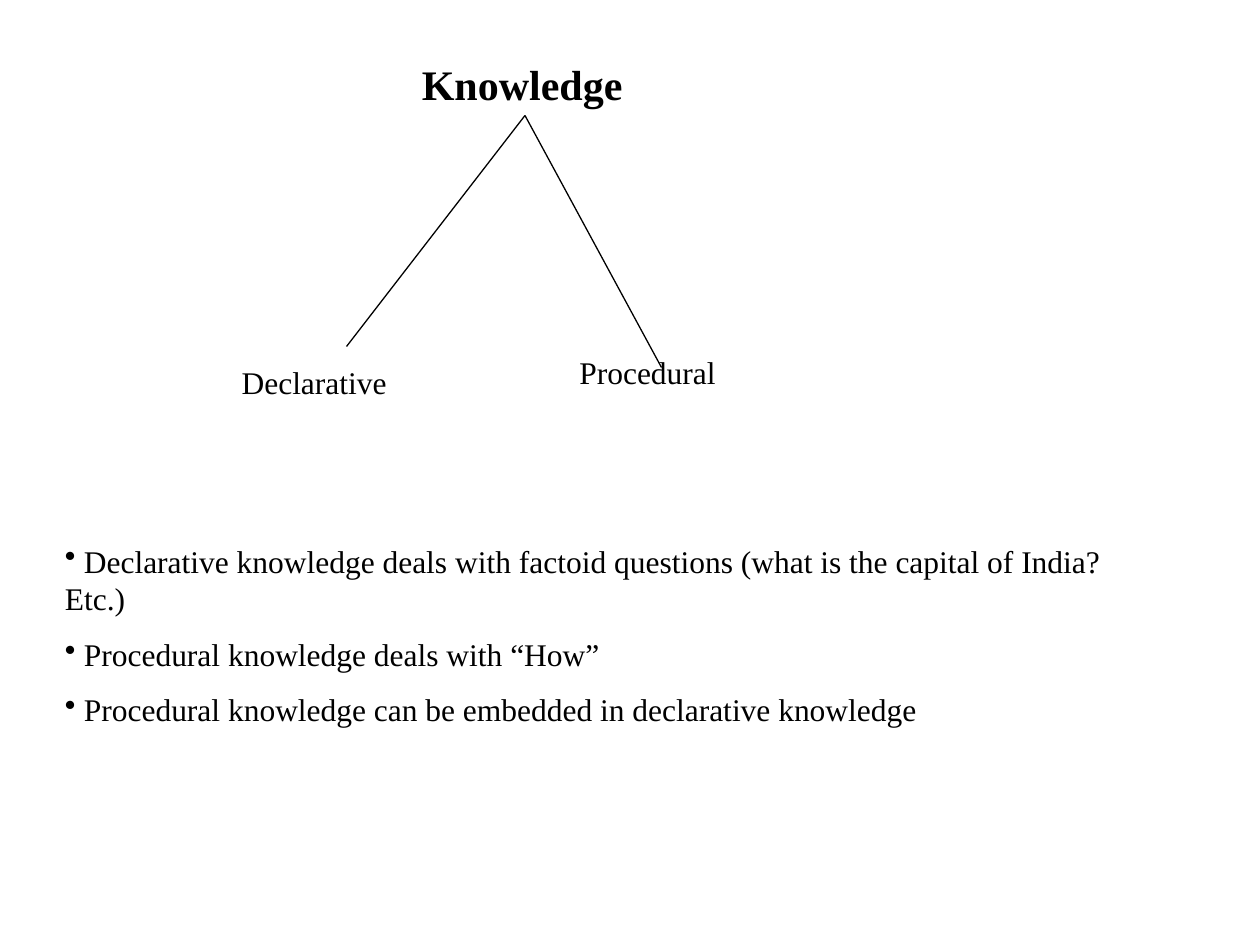
from dataclasses import dataclass

from lxml import etree
from pptx import Presentation
from pptx.dml.color import RGBColor
from pptx.enum.shapes import MSO_CONNECTOR
from pptx.oxml.ns import qn
from pptx.slide import Slide
from pptx.util import Pt

STRAIGHT = MSO_CONNECTOR.STRAIGHT


@dataclass(frozen=True)
class Theme:
    font: str = "Times New Roman"
    ink: RGBColor = RGBColor(0, 0, 0)
    title_size: float = 24
    body_size: float = 18
    line_width: float = 0.75
    paragraph_gap: float = 10


@dataclass(frozen=True)
class TextBlock:
    lines: tuple[str, ...]
    left: float
    top: float
    width: float
    height: float
    size: float
    bold: bool = False
    bulleted: bool = False


@dataclass(frozen=True)
class Point:
    x: float
    y: float


THEME = Theme()
ROOT = Point(300, 66)
BRANCH_ENDS = (Point(198, 198), Point(378, 210))
BLOCKS = (
    TextBlock(("Knowledge",), 234, 30, 180, 36, THEME.title_size, bold=True),
    TextBlock(("Declarative",), 131, 204, 168, 41, THEME.body_size),
    TextBlock(("Procedural",), 324, 198, 210, 41, THEME.body_size),
    TextBlock(
        (
            " Declarative knowledge deals with factoid questions (what is the capital of India? Etc.)",
            " Procedural knowledge deals with “How”",
            " Procedural knowledge can be embedded in declarative knowledge",
        ),
        30, 306, 630, 117, THEME.body_size, bulleted=True,
    ),
)


def add_text(page: Slide, block: TextBlock) -> None:
    box = page.shapes.add_textbox(
        Pt(block.left), Pt(block.top), Pt(block.width), Pt(block.height)
    )
    frame = box.text_frame
    frame.word_wrap = True
    frame.text = "\n".join(block.lines)
    for index, para in enumerate(frame.paragraphs):
        if index:
            para.space_before = Pt(THEME.paragraph_gap)
        if block.bulleted:
            properties = para._p.get_or_add_pPr()
            properties.set("marL", "0")
            properties.set("indent", "0")
            etree.SubElement(properties, qn("a:buChar")).set("char", "•")
        for span in para.runs:
            span.font.name = THEME.font
            span.font.size = Pt(block.size)
            span.font.bold = block.bold
            span.font.color.rgb = THEME.ink


def add_branch(page: Slide, start: Point, end: Point) -> None:
    branch = page.shapes.add_connector(
        STRAIGHT, Pt(start.x), Pt(start.y), Pt(end.x), Pt(end.y)
    )
    branch.line.color.rgb = THEME.ink
    branch.line.width = Pt(THEME.line_width)
    etree.SubElement(branch._element.spPr, qn("a:effectLst"))


def main() -> None:
    deck = Presentation()
    deck.slide_width, deck.slide_height = Pt(720), Pt(540)
    page = deck.slides.add_slide(deck.slide_layouts[6])
    for end in BRANCH_ENDS:
        add_branch(page, ROOT, end)
    for block in BLOCKS:
        add_text(page, block)
    deck.save("out.pptx")


if __name__ == "__main__":
    main()
